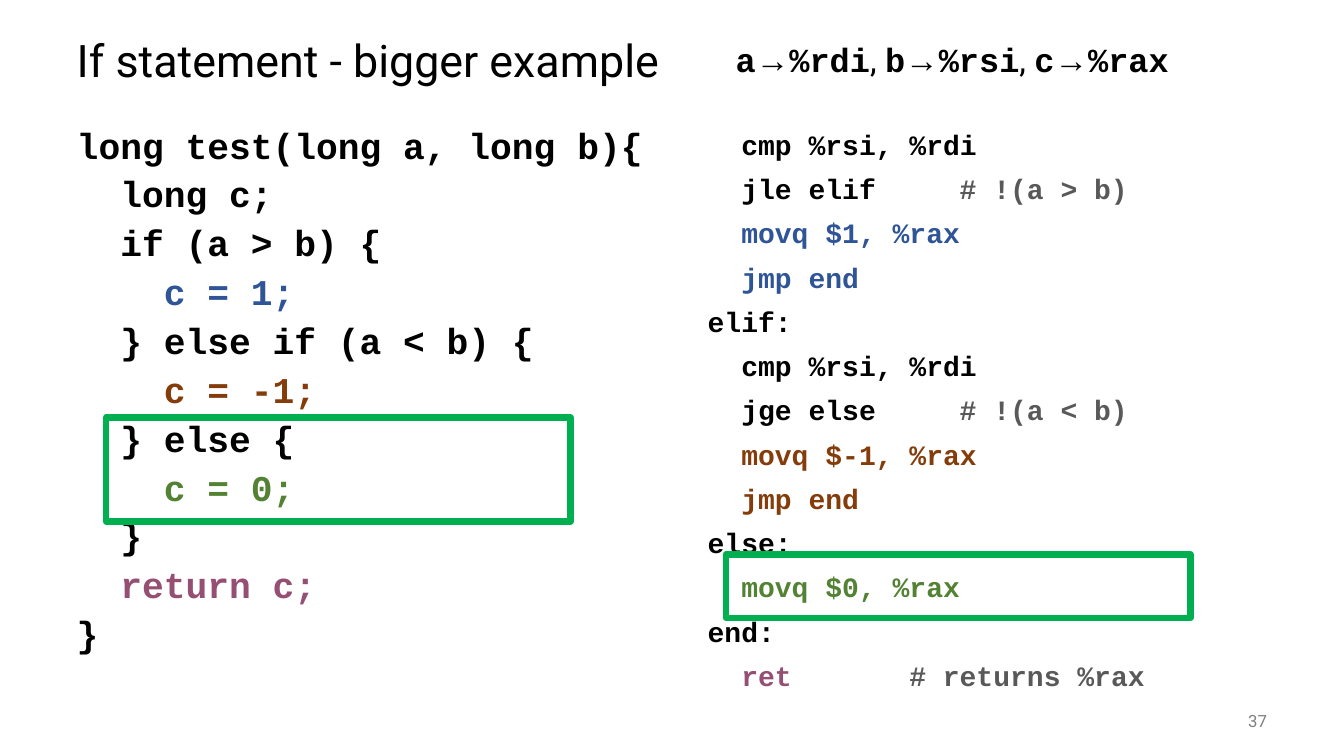
from dataclasses import dataclass

from lxml import etree
from pptx import Presentation
from pptx.dml.color import RGBColor
from pptx.enum.shapes import MSO_SHAPE
from pptx.enum.text import MSO_ANCHOR, MSO_AUTO_SIZE, PP_ALIGN
from pptx.oxml.ns import qn
from pptx.util import Cm, Pt

RECTANGLE = MSO_SHAPE.RECTANGLE
MIDDLE = MSO_ANCHOR.MIDDLE
NO_FIT = MSO_AUTO_SIZE.NONE
LEFT, RIGHT = PP_ALIGN.LEFT, PP_ALIGN.RIGHT


@dataclass(frozen=True)
class Theme:
    text_font: str = "Roboto"
    code_font: str = "Courier New"
    arrow_font: str = "Arial"
    title_size: float = 32
    source_size: float = 25.9
    assembly_size: float = 20
    legend_size: float = 24
    number_size: float = 12
    black: str = "000000"
    blue: str = "2F5597"
    brown: str = "843C0B"
    green: str = "548235"
    plum: str = "954F72"
    comment: str = "595959"
    number: str = "808080"
    frame: str = "00B050"


theme = Theme()


def add_span(para, text, font, size, color, bold=False):
    span = para.add_run()
    span.text = text
    span.font.name = font
    span.font.size = Pt(size)
    span.font.bold = bold
    span.font.color.rgb = RGBColor.from_string(color)


def place(box, left, top, width, height):
    box.left, box.top, box.width, box.height = map(Cm, (left, top, width, height))


deck = Presentation()
deck.slide_width, deck.slide_height = Cm(33.87), Cm(19.05)
page = deck.slides.add_slide(deck.slide_layouts.get_by_name("Two Content"))
title, source_box, assembly_box = page.placeholders

# Title
place(title, 1.68, 0.64, 30.48, 1.9)
title.text_frame.auto_size = NO_FIT
title.text_frame.vertical_anchor = MIDDLE
title_para = title.text_frame.paragraphs[0]
title_para.alignment = LEFT
title_para.line_spacing = 0.9
add_span(title_para, "If statement - bigger example",
         theme.text_font, theme.title_size, theme.black)

# Code listings: each line is a list of (text, colour) spans
source_lines = [
    [("long test(long a, long b){", theme.black)],
    [("  long c;", theme.black)],
    [("  if (a > b) {", theme.black)],
    [("    c = 1;", theme.blue)],
    [("  } else if (a < b) {", theme.black)],
    [("    c = -1;", theme.brown)],
    [("  } else {", theme.black)],
    [("    c = 0;", theme.green)],
    [("  }", theme.black)],
    [("  return c;", theme.plum)],
    [("}", theme.black)],
]
assembly_lines = [
    [("  cmp %rsi, %rdi", theme.black)],
    [("  jle elif\t\t", theme.black), ("# !(a > b)", theme.comment)],
    [("  movq $1, %rax", theme.blue)],
    [("  jmp end", theme.blue)],
    [("elif:", theme.black)],
    [("  cmp %rsi, %rdi", theme.black)],
    [("  jge else\t\t", theme.black), ("# !(a < b)", theme.comment)],
    [("  movq $-1, %rax", theme.brown)],
    [("  jmp end", theme.brown)],
    [("else:", theme.black)],
    [("  movq $0, %rax", theme.green)],
    [("end:", theme.black)],
    [("  ret\t\t\t", theme.plum), ("# returns %rax", theme.comment)],
]
listings = [
    (source_box, (1.68, 3.18, 14.88, 13.97), source_lines, theme.source_size, 0.8),
    (assembly_box, (17.58, 3.18, 14.61, 15.01), assembly_lines, theme.assembly_size, 0.9),
]
for box, bounds, lines, size, line_spacing in listings:
    place(box, *bounds)
    frame = box.text_frame
    frame.auto_size = NO_FIT
    for index, spans in enumerate(lines):
        para = frame.add_paragraph() if index else frame.paragraphs[0]
        properties = para._p.get_or_add_pPr()
        properties.set("marL", "0")
        properties.set("indent", "0")
        etree.SubElement(properties, qn("a:buNone"))
        para.line_spacing = line_spacing
        para.space_before = Pt(10 if index else 0)
        for text, color in spans:
            add_span(para, text, theme.code_font, size, color, bold=True)

# Register legend
legend = page.shapes.add_textbox(Cm(18.29), Cm(0.86), Cm(13.21), Cm(1.27))
legend.text_frame.word_wrap = True
legend_para = legend.text_frame.paragraphs[0]
registers = [("a", "%rdi"), ("b", "%rsi"), ("c", "%rax")]
for index, (variable, register) in enumerate(registers):
    if index:
        add_span(legend_para, ", ", theme.text_font, theme.legend_size, theme.black)
    for text, font in ((variable, theme.code_font), ("→", theme.arrow_font),
                       (register, theme.code_font)):
        add_span(legend_para, text, font, theme.legend_size, theme.black, bold=True)

# Frames around the matching else branches
for bounds in ((18.29, 13.97, 11.71, 1.6), (2.67, 10.52, 11.71, 2.62)):
    highlight = page.shapes.add_shape(RECTANGLE, *map(Cm, bounds))
    highlight.shadow.inherit = False
    highlight.fill.background()
    highlight.line.color.rgb = RGBColor.from_string(theme.frame)
    highlight.line.width = Pt(4.5)

# Slide number
number_box = page.shapes.add_textbox(Cm(29.64), Cm(17.65), Cm(2.54), Cm(1.02))
number_box.text_frame.word_wrap = True
number_box.text_frame.vertical_anchor = MIDDLE
number_para = number_box.text_frame.paragraphs[0]
number_para.alignment = RIGHT
add_span(number_para, "37", theme.text_font, theme.number_size, theme.number)

deck.save("out.pptx")
